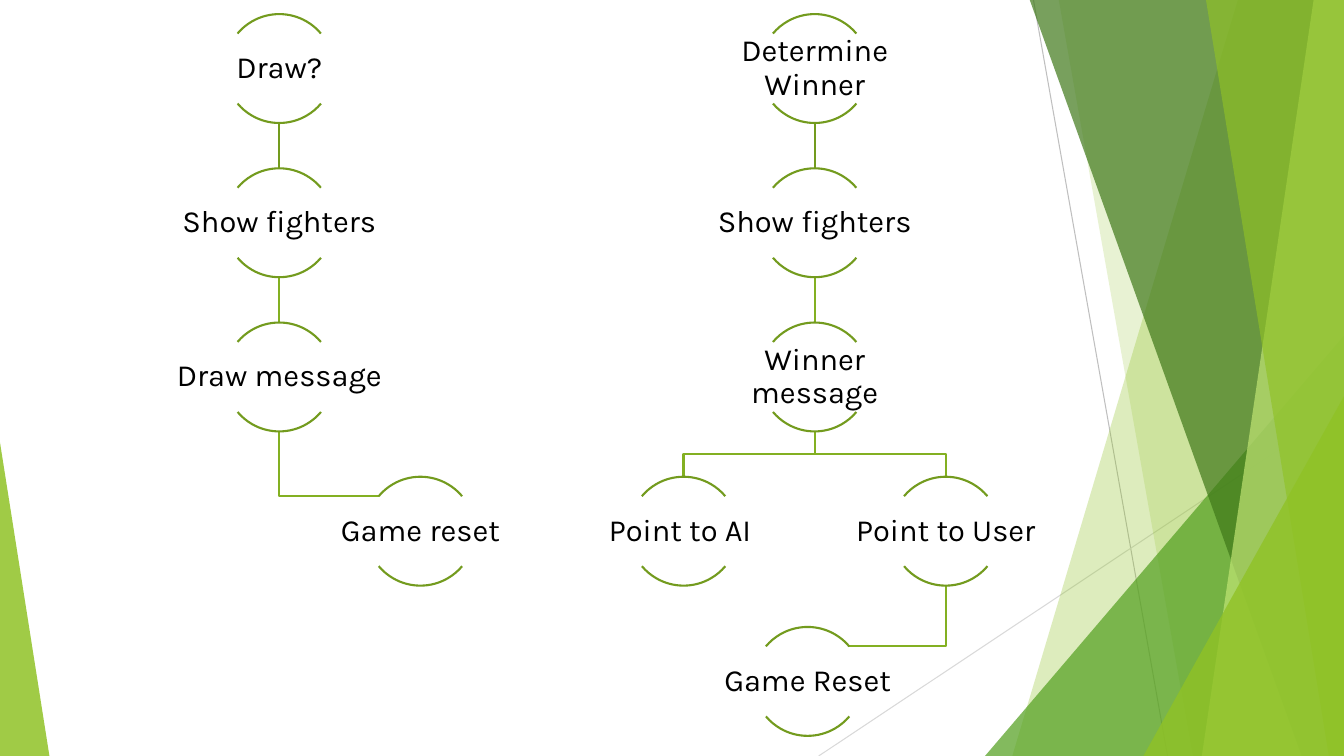
"""Build a slide with two game-flow charts beside a band of green facets."""
from lxml import etree
from pptx import Presentation
from pptx.dml.color import RGBColor
from pptx.enum.shapes import MSO_CONNECTOR as Connector, MSO_SHAPE as Preset
from pptx.enum.text import MSO_ANCHOR as Anchor, PP_ALIGN as Align
from pptx.oxml.ns import qn
from pptx.util import Inches, Pt

WIDTH, HEIGHT = 13.33, 7.5
WHITE = RGBColor(0xFF, 0xFF, 0xFF)
BLACK = RGBColor(0, 0, 0)
LIME = RGBColor(0x90, 0xC2, 0x26)
GREEN = RGBColor(0x54, 0xA0, 0x21)
FOREST = RGBColor(0x3F, 0x78, 0x19)
PALE = RGBColor(0xC0, 0xE4, 0x74)
ARC_GREEN = RGBColor(0x73, 0x9B, 0x1E)
LINK_GREEN = RGBColor(0x83, 0xB0, 0x22)
GREY = RGBColor(0xBF, 0xBF, 0xBF)
LIGHT_GREY = RGBColor(0xD9, 0xD9, 0xD9)

FONT, TEXT_SIZE = "Karla", 22
CIRCLE, LABEL_WIDTH, LABEL_HEIGHT, INSET = 1.08, 2.15, 0.69, 0.02
ARC_END_X, ARC_END_Y = 0.41, 0.19
TOP, PITCH = 0.14, 1.53
ROW_TOPS = [TOP + PITCH * row for row in range(4)] + [6.22]
ARC_ANGLES = [(132, 192), (24, 84)]

HAIRLINES = [
    ((10.25, 0), (11.58, HEIGHT), GREY),
    ((WIDTH, 4.03), (8.12, HEIGHT), LIGHT_GREY),
]
FACETS = [
    ("band", 12.28, 10.04, LIME, 30),
    ("band", 10.5, 11.83, LIME, 20),
    ("triangle", (9.77, 3.33, WIDTH), 1, GREEN, 72),
    ("band", 10.21, 12.91, FOREST, 70),
    ("band", 13.03, 11.92, PALE, 70),
    ("band", 11.96, 13.18, LIME, 65),
    ("triangle", (11.34, 3.93, WIDTH), 1, LIME, 80),
    ("triangle", (0, 4.39, 0.49), 0, LIME, 85),
]
STEPS = {
    "draw": ("Draw?", 2.77, 0),
    "draw fighters": ("Show fighters", 2.77, 1),
    "draw message": ("Draw message", 2.77, 2),
    "draw reset": ("Game reset", 4.17, 3),
    "winner": ("Determine Winner", 8.08, 0),
    "winner fighters": ("Show fighters", 8.08, 1),
    "winner message": ("Winner message", 8.08, 2),
    "AI point": ("Point to AI ", 6.78, 3),
    "user point": ("Point to User", 9.38, 3),
    "winner reset": ("Game Reset", 8.01, 4),
}
LINKS = [
    ("user point", "winner reset", "side"),
    ("winner message", "user point", "fork"),
    ("winner message", "AI point", "fork"),
    ("winner fighters", "winner message", "straight"),
    ("winner", "winner fighters", "straight"),
    ("draw message", "draw reset", "side"),
    ("draw fighters", "draw message", "straight"),
    ("draw", "draw fighters", "straight"),
]

presentation = Presentation()
presentation.slide_width, presentation.slide_height = Inches(WIDTH), Inches(HEIGHT)
slide = presentation.slides.add_slide(presentation.slide_layouts[6])
slide.background.fill.solid()
slide.background.fill.fore_color.rgb = WHITE
shapes = slide.shapes


def emu(*lengths):
    return [Inches(length) for length in lengths]


def set_line(shape, color, points):
    shape.line.color.rgb = color
    shape.line.width = Pt(points)


def add_line(start, end, color, points):
    line = shapes.add_connector(Connector.STRAIGHT, *emu(*start, *end))
    set_line(line, color, points)
    etree.SubElement(line.element.spPr, qn("a:effectLst"))


def add_outline(points, close):
    start, *rest = [emu(*point) for point in points]
    builder = shapes.build_freeform(*start, scale=1.0)
    builder.add_line_segments(rest, close=close)
    shape = builder.convert_to_shape()
    shape.shadow.inherit = False
    return shape


def add_facet(kind, place, lean, color, opacity):
    if kind == "band":
        shape = add_outline([(place, -0.01), (WIDTH, -0.01), (WIDTH, HEIGHT), (lean, HEIGHT)], True)
    else:
        left, top, right = place
        shape = shapes.add_shape(Preset.ISOSCELES_TRIANGLE, *emu(left, top, right - left, HEIGHT - top))
        shape.adjustments[0] = lean
        shape.shadow.inherit = False
    shape.fill.solid()
    shape.fill.fore_color.rgb = color
    shape.line.fill.background()
    color_element = shape.element.spPr.find(qn("a:solidFill"))[0]
    etree.SubElement(color_element, qn("a:alpha"), val=str(opacity * 1000))


def add_link(source, target, route):
    _, source_x, source_row = STEPS[source]
    _, target_x, target_row = STEPS[target]
    start_y, end_y = ROW_TOPS[source_row] + CIRCLE, ROW_TOPS[target_row]
    start, end = (source_x, start_y), (target_x, end_y)
    if route == "straight":
        add_line(start, end, LINK_GREEN if source_row else ARC_GREEN, 1.5)
        return
    if route == "fork":
        middle = (start_y + end_y) / 2
        points = [start, (source_x, middle), (target_x, middle), end]
    else:
        side = ARC_END_X if source_x > target_x else -ARC_END_X
        arc_y = end_y + ARC_END_Y
        points = [start, (source_x, arc_y), (target_x + side, arc_y)]
    shape = add_outline(points, False)
    shape.fill.background()
    set_line(shape, LINK_GREEN, 1.5)


def add_step(text, center, row):
    top = ROW_TOPS[row]
    for angles in ARC_ANGLES:
        arc = shapes.add_shape(Preset.ARC, *emu(center - CIRCLE / 2, top, CIRCLE, CIRCLE))
        arc.adjustments[0], arc.adjustments[1] = angles
        arc.shadow.inherit = False
        arc.fill.background()
        set_line(arc, ARC_GREEN, 1.5)
    label_top = top + (CIRCLE - LABEL_HEIGHT) / 2
    label = shapes.add_textbox(*emu(center - LABEL_WIDTH / 2, label_top, LABEL_WIDTH, LABEL_HEIGHT))
    frame = label.text_frame
    frame.word_wrap = True
    frame.vertical_anchor = Anchor.MIDDLE
    frame.margin_left = frame.margin_right = Inches(INSET)
    frame.margin_top = frame.margin_bottom = Inches(INSET)
    paragraph = frame.paragraphs[0]
    paragraph.alignment = Align.CENTER
    paragraph.line_spacing = 0.9
    run = paragraph.add_run()
    run.text = text
    run.font.name, run.font.size = FONT, Pt(TEXT_SIZE)
    run.font.color.rgb = BLACK


for hairline in HAIRLINES:
    add_line(*hairline, 0.75)
for facet in FACETS:
    add_facet(*facet)
for link in LINKS:
    add_link(*link)
for step in STEPS.values():
    add_step(*step)

presentation.save("out.pptx")
